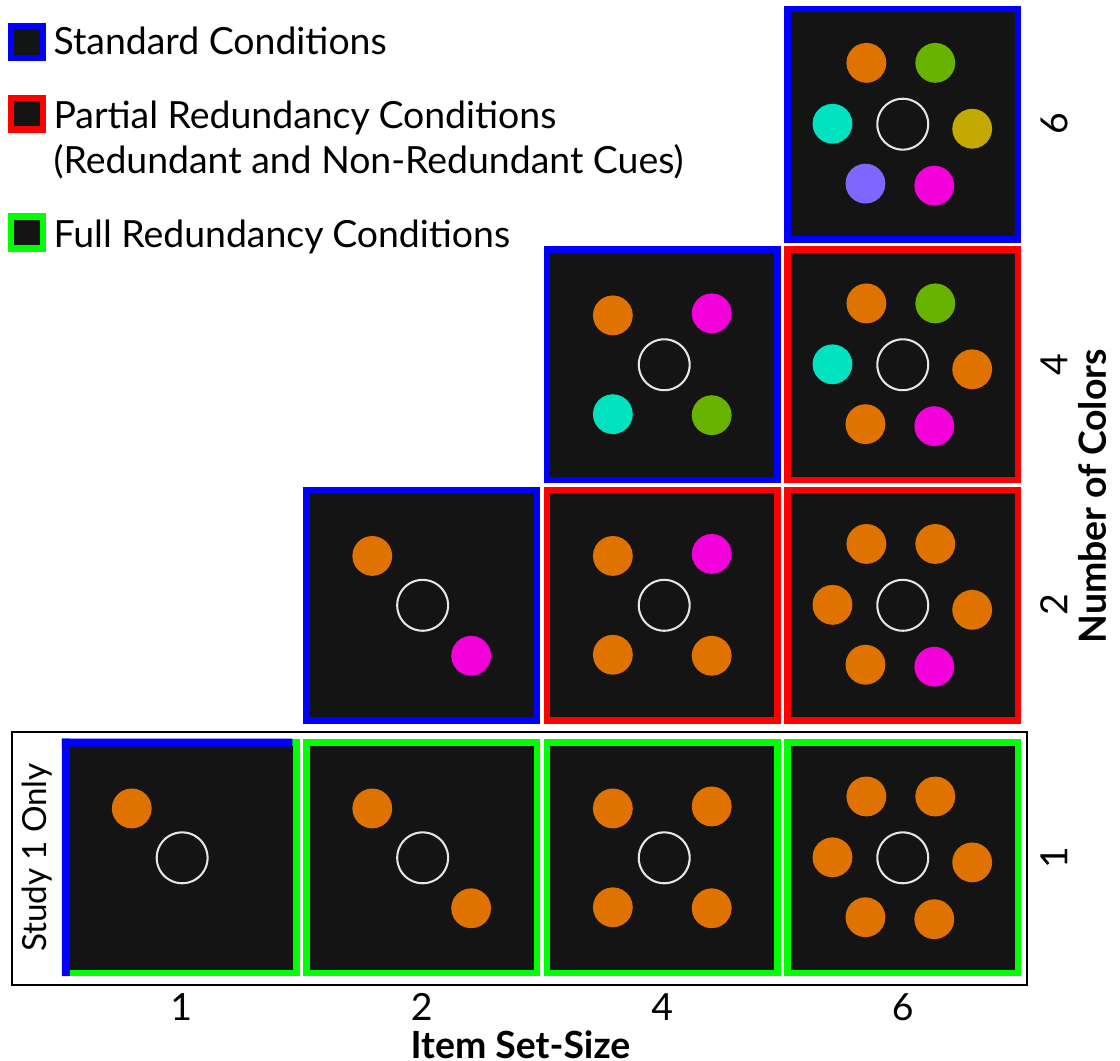
import pptx
import pptx.util
import pptx.oxml
import pptx.oxml.ns
import pptx.dml.color
import pptx.enum.shapes
import pptx.enum.text
import lxml.etree
from dataclasses import dataclass

PX = 6096


@dataclass(frozen=True)
class Theme:
    font: str = "Lato"
    label_size: int = 18
    note_size: int = 16
    legend_gap: int = 14
    thick: int = 3
    thin: int = 1
    ink: str = "000000"
    panel: str = "141414"
    ring: str = "E7E6E6"
    standard: str = "0000FF"
    partial: str = "FF0000"
    full: str = "00FF00"
    orange: str = "E07200"
    magenta: str = "F300DA"
    green: str = "67B300"
    teal: str = "00E3C0"
    violet: str = "7E66FF"
    gold: str = "C3A900"


THEME = Theme()
SHAPES = pptx.enum.shapes.MSO_SHAPE

PANEL = 231
PITCH = 241
DOT = 40
RING = 51
SET_SIZES = (1, 2, 4, 6)
COLUMN_LEFT = {size: 66 + PITCH * index for index, size in enumerate(SET_SIZES)}
ROW_TOP = {6: 9, 4: 9 + PITCH, 2: 9 + 2 * PITCH, 1: 744}

UPPER_LEFT = (-49, -49)
LOWER_RIGHT = (50, 51)
DOT_OFFSETS = {
    1: (UPPER_LEFT,),
    2: (UPPER_LEFT, LOWER_RIGHT),
    4: (UPPER_LEFT, (50, -51), (-49, 50), LOWER_RIGHT),
    6: ((-36, -61), (33, -61), (-70, 0), (70, 5), (-37, 60), (32, 62)),
}
RING_SHIFT = {1: 1, 2: 1, 4: 2, 6: 0}

O, M, G, T = THEME.orange, THEME.magenta, THEME.green, THEME.teal
CONDITIONS = (
    (6, 6, THEME.standard, (O, G, T, THEME.gold, THEME.violet, M)),
    (4, 4, THEME.standard, (O, M, T, G)),
    (6, 4, THEME.partial, (O, G, T, O, O, M)),
    (2, 2, THEME.standard, (O, M)),
    (4, 2, THEME.partial, (O, M, O, O)),
    (6, 2, THEME.partial, (O, O, O, O, O, M)),
    *((size, 1, THEME.full, (O,) * size) for size in SET_SIZES),
)

LEGEND = (
    ("Standard Conditions", 0),
    ("Partial Redundancy Conditions", THEME.legend_gap),
    ("(Redundant and Non-Redundant Cues)", 0),
    ("Full Redundancy Conditions", THEME.legend_gap),
)
SWATCHES = ((26, THEME.standard), (98, THEME.partial), (217, THEME.full))


def rgb(value):
    return pptx.dml.color.RGBColor.from_string(value)


def add_figure(page, kind, left, top, width, height, fill=None, line=None, weight=0):
    shape = page.shapes.add_shape(kind, left * PX, top * PX, width * PX, height * PX)
    shape.shadow.inherit = False
    if fill:
        shape.fill.solid()
        shape.fill.fore_color.rgb = rgb(fill)
    else:
        shape.fill.background()
    if line:
        shape.line.color.rgb = rgb(line)
        shape.line.width = pptx.util.Pt(weight)
        outline = shape.element.spPr.find(pptx.oxml.ns.qn("a:ln"))
        miter = lxml.etree.SubElement(outline, pptx.oxml.ns.qn("a:miter"))
        miter.set("lim", "800000")
    else:
        shape.line.fill.background()


def add_circle(page, center_x, center_y, size, **style):
    add_figure(page, SHAPES.OVAL, center_x - size // 2, center_y - size // 2,
               size, size, **style)


def add_span(para, text, size, bold=False):
    span = para.add_run()
    span.text = text
    span.font.name = THEME.font
    span.font.size = pptx.util.Pt(size)
    span.font.bold = bold
    span.font.color.rgb = rgb(THEME.ink)


def add_label(page, text, center_x, center_y, width, size=THEME.label_size,
              bold=False, rotation=0):
    height = 60
    box = page.shapes.add_textbox((center_x - width // 2) * PX, (center_y - height // 2) * PX,
                                  width * PX, height * PX)
    box.rotation = rotation
    box.text_frame.word_wrap = True
    box.text_frame.vertical_anchor = pptx.enum.text.MSO_ANCHOR.MIDDLE
    para = box.text_frame.paragraphs[0]
    para.alignment = pptx.enum.text.PP_ALIGN.CENTER
    add_span(para, text, size, bold)


def add_condition(page, set_size, color_count, border, dot_colors):
    left, top = COLUMN_LEFT[set_size], ROW_TOP[color_count]
    add_figure(page, SHAPES.RECTANGLE, left, top, PANEL, PANEL,
               fill=THEME.panel, line=border, weight=THEME.thick)
    center_x, center_y = left + PANEL // 2, top + PANEL // 2
    for (shift_x, shift_y), color in zip(DOT_OFFSETS[set_size], dot_colors):
        add_circle(page, center_x + shift_x, center_y + shift_y, DOT, fill=color)
    add_circle(page, center_x + RING_SHIFT[set_size], center_y, RING,
               line=THEME.ring, weight=THEME.thin)


def add_study_frame(page):
    add_figure(page, SHAPES.RECTANGLE, 62, 740, 8, 238, fill=THEME.standard)
    add_figure(page, SHAPES.RECTANGLE, 62, 740, PANEL, 8, fill=THEME.standard)
    add_figure(page, SHAPES.RECTANGLE, 12, 733, 1017, 254,
               line=THEME.ink, weight=THEME.thin)
    add_label(page, "Study 1 Only", 33, 859, 254, THEME.note_size, rotation=270)


def add_legend(page):
    box = page.shapes.add_textbox(39 * PX, 10 * PX, 681 * PX, 258 * PX)
    frame = box.text_frame
    frame.word_wrap = True
    for index, (text, gap) in enumerate(LEGEND):
        para = frame.add_paragraph() if index else frame.paragraphs[0]
        if gap:
            para.space_before = pptx.util.Pt(gap)
        add_span(para, text, THEME.label_size)
    for top, color in SWATCHES:
        add_figure(page, SHAPES.RECTANGLE, 11, top, 32, 32,
                   fill=THEME.panel, line=color, weight=THEME.thick)


def add_axes(page):
    for number in SET_SIZES:
        add_label(page, str(number), COLUMN_LEFT[number] + PANEL // 2, 1007, PANEL)
        add_label(page, str(number), 1054, ROW_TOP[number] + PANEL // 2, PANEL, rotation=270)
    add_label(page, "Item Set-Size", 521, 1046, 1017, bold=True)
    add_label(page, "Number of Colors", 1093, 497, 978, bold=True, rotation=270)


def main():
    deck = pptx.Presentation()
    deck.slide_width = pptx.util.Cm(19)
    deck.slide_height = pptx.util.Cm(18)
    page = deck.slides.add_slide(deck.slide_layouts[6])
    for condition in CONDITIONS:
        add_condition(page, *condition)
    add_study_frame(page)
    add_legend(page)
    add_axes(page)
    deck.save("out.pptx")


if __name__ == "__main__":
    main()
